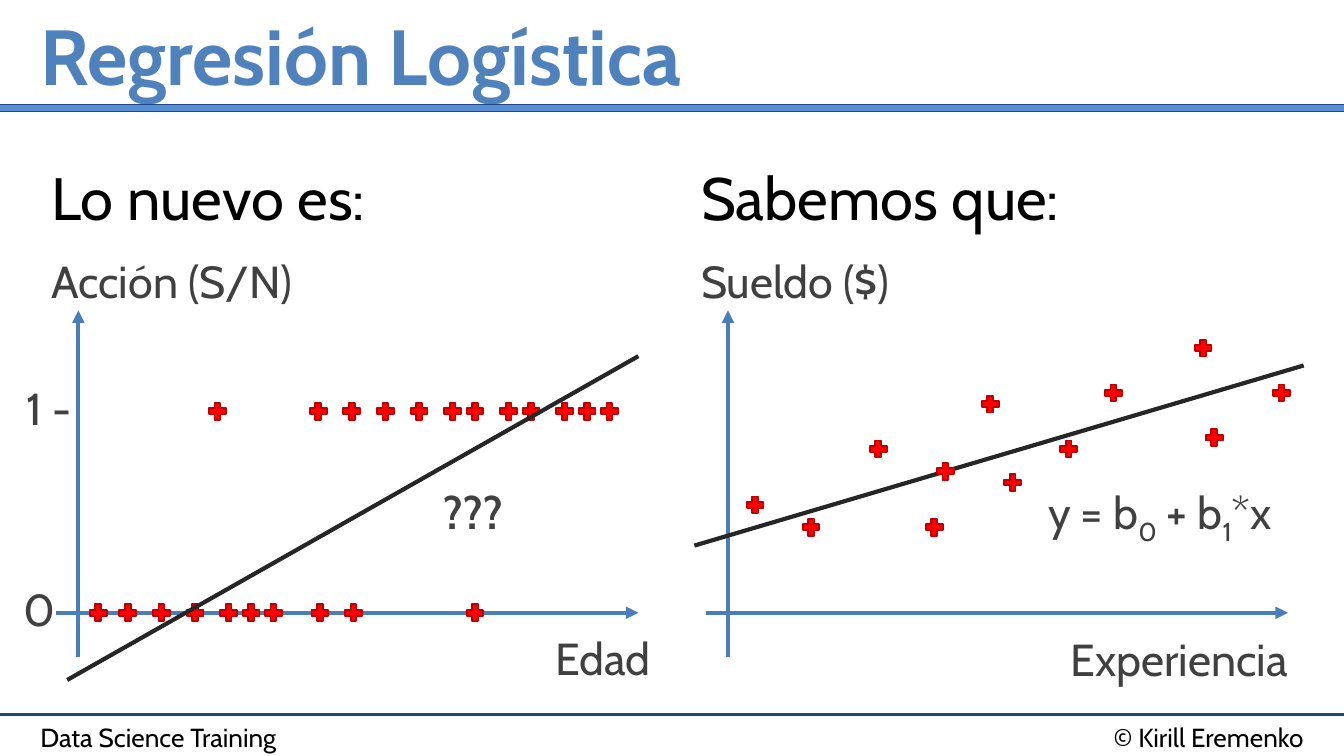
import pptx
import pptx.dml.color
import pptx.enum.shapes
import pptx.enum.text
import pptx.oxml.ns
import pptx.util
from lxml import etree

Pt = pptx.util.Pt
ALIGN = pptx.enum.text.PP_ALIGN
SHAPE = pptx.enum.shapes.MSO_SHAPE
BLACK, GREY, INK = "000000", "404040", "262626"
AXIS, NAVY = "4A7EBB", "1F497D"


def color(code):
    return pptx.dml.color.RGBColor.from_string(code)


class Sketch:
    """Draws styled elements on one slide, with all lengths in points."""

    font = "Cabin"
    inset = Pt(3.6)
    marker = 9

    def __init__(self, page):
        self.page = page

    def style(self, frame, size, code, bold, align):
        frame.word_wrap = True
        frame.auto_size = pptx.enum.text.MSO_AUTO_SIZE.NONE
        frame.margin_left = frame.margin_right = self.inset
        frame.margin_top = frame.margin_bottom = self.inset
        para = frame.paragraphs[0]
        para.alignment = align
        para.font.name = self.font
        para.font.size = Pt(size)
        para.font.bold = bold
        para.font.color.rgb = color(code)

    def title(self, text, left, top, width, height):
        box = self.page.shapes.title
        box.left, box.top, box.width, box.height = Pt(left), Pt(top), Pt(width), Pt(height)
        box.text_frame.text = text
        box.text_frame.vertical_anchor = pptx.enum.text.MSO_ANCHOR.MIDDLE
        self.style(box.text_frame, 41.8, "4F81BD", True, ALIGN.LEFT)

    def text(self, spans, left, top, width, height, size=24, code=GREY,
             bold=False, align=ALIGN.LEFT):
        box = self.page.shapes.add_textbox(Pt(left), Pt(top), Pt(width), Pt(height))
        para = box.text_frame.paragraphs[0]
        for words, baseline in spans:
            span = para.add_run()
            span.text = words
            if baseline:
                span._r.get_or_add_rPr().set("baseline", str(baseline))
        self.style(box.text_frame, size, code, bold, align)

    def label(self, words, *place, **options):
        self.text([(words, 0)], *place, **options)

    def line(self, x1, y1, x2, y2, code=INK, width=2.25, arrow=False):
        line = self.page.shapes.add_connector(
            pptx.enum.shapes.MSO_CONNECTOR.STRAIGHT, Pt(x1), Pt(y1), Pt(x2), Pt(y2))
        line.line.color.rgb = color(code)
        line.line.width = Pt(width)
        if arrow:
            etree.SubElement(line.line._get_or_add_ln(),
                             pptx.oxml.ns.qn("a:tailEnd"), type="triangle")
        etree.SubElement(line._element.spPr, pptx.oxml.ns.qn("a:effectLst"))

    def shape(self, kind, left, top, width, height, fill, border, border_width):
        shape = self.page.shapes.add_shape(kind, Pt(left), Pt(top), Pt(width), Pt(height))
        shape.shadow.inherit = False
        shape.fill.solid()
        shape.fill.fore_color.rgb = color(fill)
        shape.line.color.rgb = color(border)
        shape.line.width = Pt(border_width)
        return shape

    def markers(self, points):
        half = self.marker / 2
        for x, y in points:
            cross = self.shape(SHAPE.CROSS, x - half, y - half, self.marker, self.marker,
                               "FF0000", "C00000", 1)
            cross.adjustments[0] = 0.33

    def axes(self, x):
        self.line(x, 352, x, 166.3, AXIS, arrow=True)
        self.line(x - 12, 328.3, x + 300, 328.3, AXIS, arrow=True)


def main():
    deck = pptx.Presentation()
    deck.slide_width, deck.slide_height = Pt(720), Pt(405)
    sketch = Sketch(deck.slides.add_slide(deck.slide_layouts[5]))

    sketch.line(0, 383, 720, 383, NAVY, 1.5)
    sketch.label("© Kirill Eremenko", 510, 383, 192, 24.5, size=14, code=BLACK,
                 align=ALIGN.RIGHT)
    sketch.label("Data Science Training", 18, 383, 216, 24.5, size=14, code=BLACK)
    sketch.shape(SHAPE.RECTANGLE, -3, 56, 726, 3.6, "558ED5", NAVY, 0.75)
    sketch.title("Regresión Logística", 18, 0, 684, 58.3)

    for left, heading, measure in ((24, "Lo nuevo es:", "Acción (S/N)"),
                                   (372, "Sabemos que:", "Sueldo ($)")):
        sketch.label(heading, left, 82.8, 306, 45.4, size=32, code=BLACK)
        sketch.label(measure, left, 132.5, 150, 36)
        sketch.axes(left + 18)

    sketch.line(372, 292.3, 698.4, 195.8)
    salaries = ((404.5, 270.5), (434.5, 282.5), (470.5, 240.5), (500.5, 282.5),
                (506.5, 252.5), (530.5, 216.5), (542.5, 258.5), (572.5, 240.5),
                (596.5, 210.5), (644.5, 186.5), (650.5, 234.5), (686.5, 210.5))
    sketch.markers(salaries)
    sketch.label("Experiencia", 570, 334.8, 138, 36)
    sketch.text([("y = b", 0), ("0", -25000), (" + b", 0), ("1", -25000), ("*x", 0)],
                558, 256.3, 150, 41)

    ages_no = (52.7, 68.5, 86.5, 104.5, 122.5, 134.5, 146.5, 171.4, 189.4, 254.5)
    ages_yes = (116.5, 170.5, 188.5, 206.5, 224.5, 242.5, 254.5, 272.5, 284.5,
                302.5, 314.5, 326.5)
    sketch.markers((age, 328.3) for age in ages_no)
    sketch.markers((age, 220.3) for age in ages_yes)
    sketch.label("Edad", 294, 334.4, 66, 36)
    sketch.label("0", 9, 308.3, 27, 36)
    sketch.label("1 -", 10.8, 200.3, 43, 36)
    sketch.label("???", 234, 256.3, 48, 36, bold=True)
    sketch.line(36, 364.3, 342, 190.8)

    deck.save("out.pptx")


if __name__ == "__main__":
    main()
